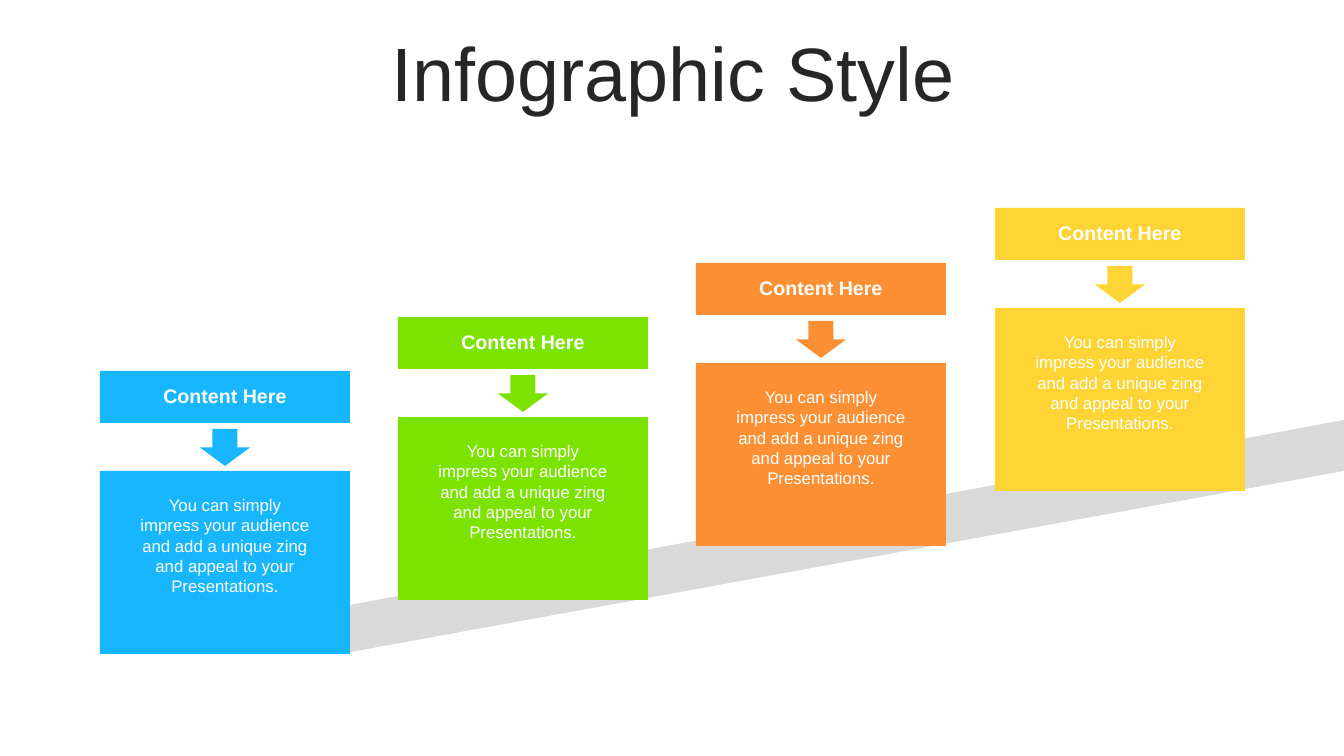
from pptx import Presentation
from pptx import util as u
from pptx.dml import color
from pptx.enum import shapes, text

COLORS = {
    "title": "262626",
    "ribbon": "D9D9D9",
    "label": "FFFFFF",
    "blue": "17B6FF",
    "green": "7CE200",
    "orange": "FD9034",
    "yellow": "FFD434",
}
FONT = "Arial"
HEADING = "Content Here"
BODY = ("You can simply impress your audience and add a unique zing "
        "and appeal to your Presentations.")
EMU_PER_PX = 914400 / 100.8
RIBBON = [(103, 651), (351, 652), (1344, 471), (1344, 420)]


def px(length):
    return u.Emu(round(length * EMU_PER_PX))


def paint(shape, name):
    """Give a shape a flat fill with no outline or shadow."""
    shape.shadow.inherit = False
    shape.fill.solid()
    shape.fill.fore_color.rgb = color.RGBColor.from_string(COLORS[name])
    shape.line.fill.background()


def add_block(group, kind, left, top, width, height, name):
    block = group.shapes.add_shape(kind, px(left), px(top), px(width), px(height))
    paint(block, name)


def add_text(page, words, left, top, width, height, size, name,
             bold=False, anchor=text.MSO_ANCHOR.TOP):
    """Add a centred, wrapping text box and return its paragraph."""
    box = page.shapes.add_textbox(px(left), px(top), px(width), px(height))
    frame = box.text_frame
    frame.word_wrap = True
    frame.vertical_anchor = anchor
    para = frame.paragraphs[0]
    para.alignment = text.PP_ALIGN.CENTER
    span = para.add_run()
    span.text = words
    span.font.name = FONT
    span.font.size = u.Pt(size)
    span.font.bold = bold
    span.font.color.rgb = color.RGBColor.from_string(COLORS[name])
    return para


def add_ribbon(page):
    (start_x, start_y), *corners = RIBBON
    builder = page.shapes.build_freeform(px(start_x), px(start_y))
    builder.add_line_segments([(px(x), px(y)) for x, y in corners], close=True)
    paint(builder.convert_to_shape(), "ribbon")


def add_step(page, left, top, name):
    """Add one stair: a heading bar, an arrow and a text panel below it."""
    kinds = shapes.MSO_SHAPE
    group = page.shapes.add_group_shape()
    add_block(group, kinds.RECTANGLE, left, top, 250, 52, name)
    add_block(group, kinds.RECTANGLE, left, top + 100, 250, 183, name)
    add_block(group, kinds.DOWN_ARROW, left + 100, top + 58, 50, 37, name)
    add_text(page, HEADING, left + 45, top + 8, 160, 34, 14, "label",
             bold=True, anchor=text.MSO_ANCHOR.MIDDLE)
    add_text(page, BODY, left + 30, top + 119, 190, 112, 12, "label")


def main():
    deck = Presentation()
    deck.slide_width, deck.slide_height = px(1344), px(756)
    page = deck.slides.add_slide(deck.slide_layouts[6])

    title = add_text(page, "Infographic Style", 35, 37, 1276, 80, 54, "title",
                     anchor=text.MSO_ANCHOR.MIDDLE)
    title.line_spacing = 0.9
    add_ribbon(page)
    for index, name in enumerate(["blue", "green", "orange", "yellow"]):
        add_step(page, 100 + 895 * index // 3, 371 - 163 * index // 3, name)

    deck.save("out.pptx")


if __name__ == "__main__":
    main()
